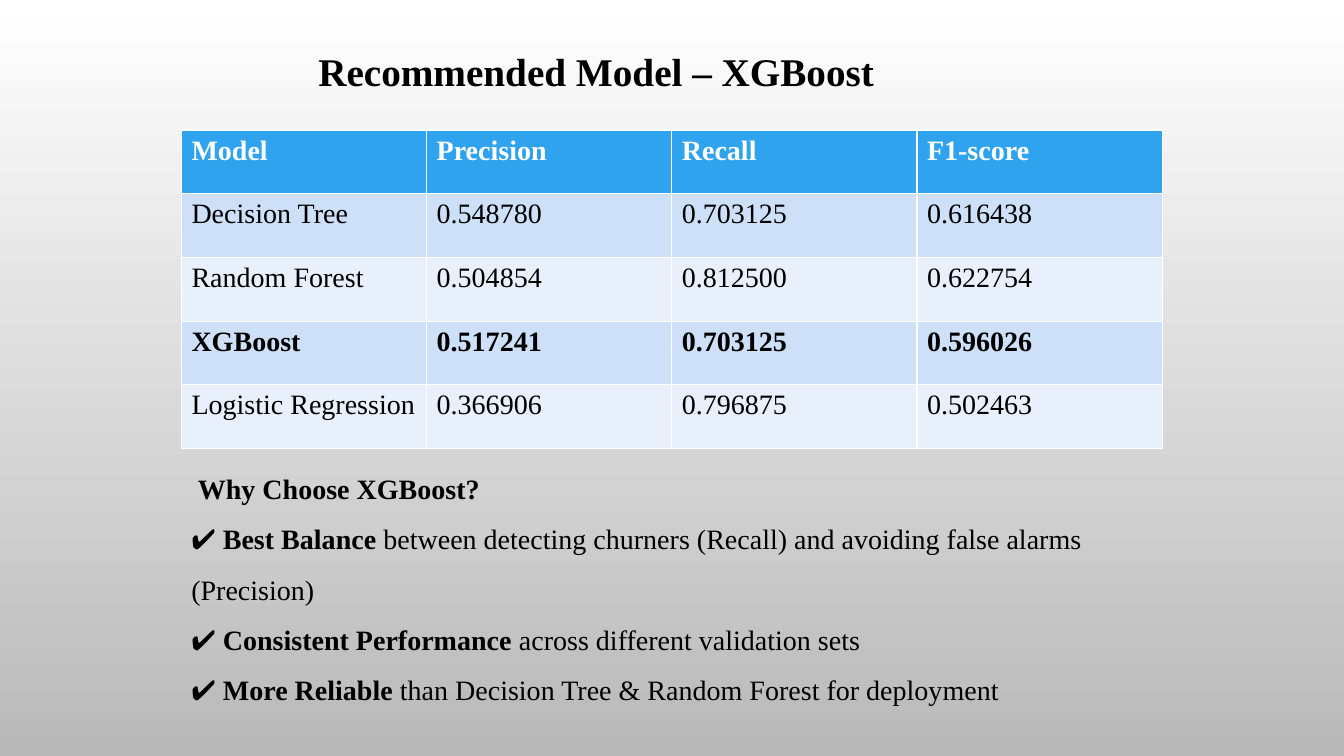
"""Builds the slide that recommends a churn model from its scores."""
import pptx
import pptx.dml.color
import pptx.enum.text
import pptx.util

Pt = pptx.util.Pt

TITLE = "Recommended Model – XGBoost"
SCORES = [
    ("Model", "Precision", "Recall", "F1-score"),
    ("Decision Tree", "0.548780", "0.703125", "0.616438"),
    ("Random Forest", "0.504854", "0.812500", "0.622754"),
    ("XGBoost", "0.517241", "0.703125", "0.596026"),
    ("Logistic Regression", "0.366906", "0.796875", "0.502463"),
]
RECOMMENDED = "XGBoost"
QUESTION = " Why Choose XGBoost?"
REASONS = [
    ("Best Balance", " between detecting churners (Recall) and avoiding false alarms (Precision)"),
    ("Consistent Performance", " across different validation sets"),
    ("More Reliable", " than Decision Tree & Random Forest for deployment"),
]

FONT = "Times New Roman"
TITLE_SIZE, BODY_SIZE = 28, 20
COLORS = {
    "top": "FFFFFF",
    "bottom": "B9B9B9",
    "header": "2FA3EE",
    "odd": "CDE0F8",
    "even": "E8F0FC",
    "light": "FFFFFF",
    "dark": "000000",
}
SLIDE_WIDTH, SLIDE_HEIGHT = 960, 540
LEFT = 129.6
TABLE_TOP, COLUMN_WIDTH, ROW_HEIGHT = 92.9, 175.15, 45.5
TITLE_BOX = (220.3, 30.2, 479.5, 41)
REASONS_BOX = (LEFT, 321.1, 655.2, 184.3)


def rgb(name):
    return pptx.dml.color.RGBColor.from_string(COLORS[name])


def add_run(paragraph, text, size=BODY_SIZE, bold=False, color="dark"):
    run = paragraph.add_run()
    run.text = text
    run.font.name = FONT
    run.font.size = Pt(size)
    run.font.bold = bold
    run.font.color.rgb = rgb(color)


def add_text_frame(slide, box):
    frame = slide.shapes.add_textbox(*map(Pt, box)).text_frame
    frame.word_wrap = True
    frame.auto_size = pptx.enum.text.MSO_AUTO_SIZE.SHAPE_TO_FIT_TEXT
    return frame


def paint_background(slide):
    fill = slide.background.fill
    fill.gradient()
    fill.gradient_angle = 270
    for stop, name, position in zip(fill.gradient_stops, ("top", "bottom"), (0, 1)):
        stop.color.rgb = rgb(name)
        stop.position = position


def add_scores(slide):
    rows, columns = len(SCORES), len(SCORES[0])
    scores = slide.shapes.add_table(
        rows, columns, Pt(LEFT), Pt(TABLE_TOP),
        Pt(COLUMN_WIDTH * columns), Pt(ROW_HEIGHT * rows),
    ).table
    for column in scores.columns:
        column.width = Pt(COLUMN_WIDTH)
    for index, values in enumerate(SCORES):
        scores.rows[index].height = Pt(ROW_HEIGHT)
        is_header = index == 0
        band = "header" if is_header else ("even", "odd")[index % 2]
        bold = is_header or values[0] == RECOMMENDED
        for cell, value in zip(scores.rows[index].cells, values):
            cell.fill.solid()
            cell.fill.fore_color.rgb = rgb(band)
            add_run(cell.text_frame.paragraphs[0], value, bold=bold,
                    color="light" if is_header else "dark")


def add_reasons(slide):
    frame = add_text_frame(slide, REASONS_BOX)
    question, reasons = frame.paragraphs[0], frame.add_paragraph()
    question.line_spacing = reasons.line_spacing = 1.5
    add_run(question, QUESTION, bold=True)
    for index, (strength, detail) in enumerate(REASONS):
        if index:
            reasons.add_line_break()
        add_run(reasons, "✔ ")
        add_run(reasons, strength, bold=True)
        add_run(reasons, detail)


def main():
    presentation = pptx.Presentation()
    presentation.slide_width = Pt(SLIDE_WIDTH)
    presentation.slide_height = Pt(SLIDE_HEIGHT)
    slide = presentation.slides.add_slide(presentation.slide_layouts[6])
    paint_background(slide)
    add_reasons(slide)
    title = add_text_frame(slide, TITLE_BOX)
    add_run(title.paragraphs[0], TITLE, size=TITLE_SIZE, bold=True)
    add_scores(slide)
    presentation.save("out.pptx")


if __name__ == "__main__":
    main()
